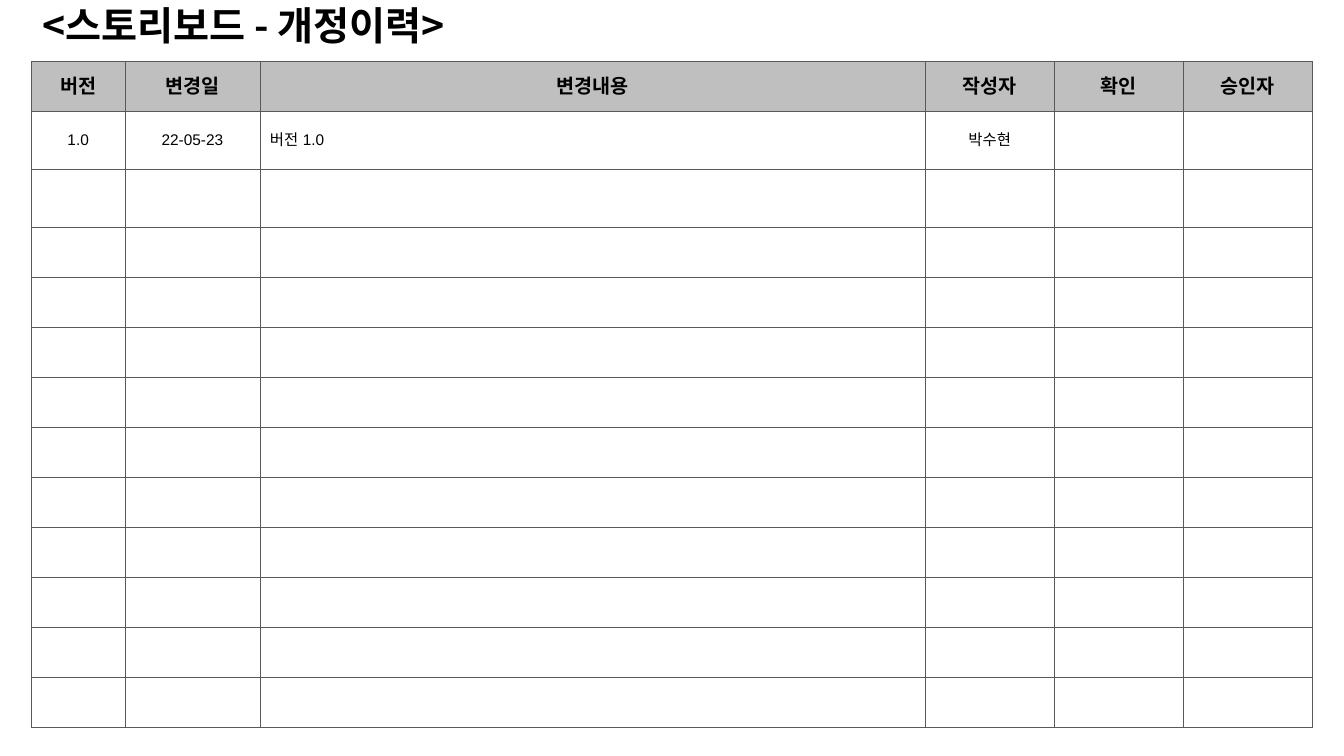
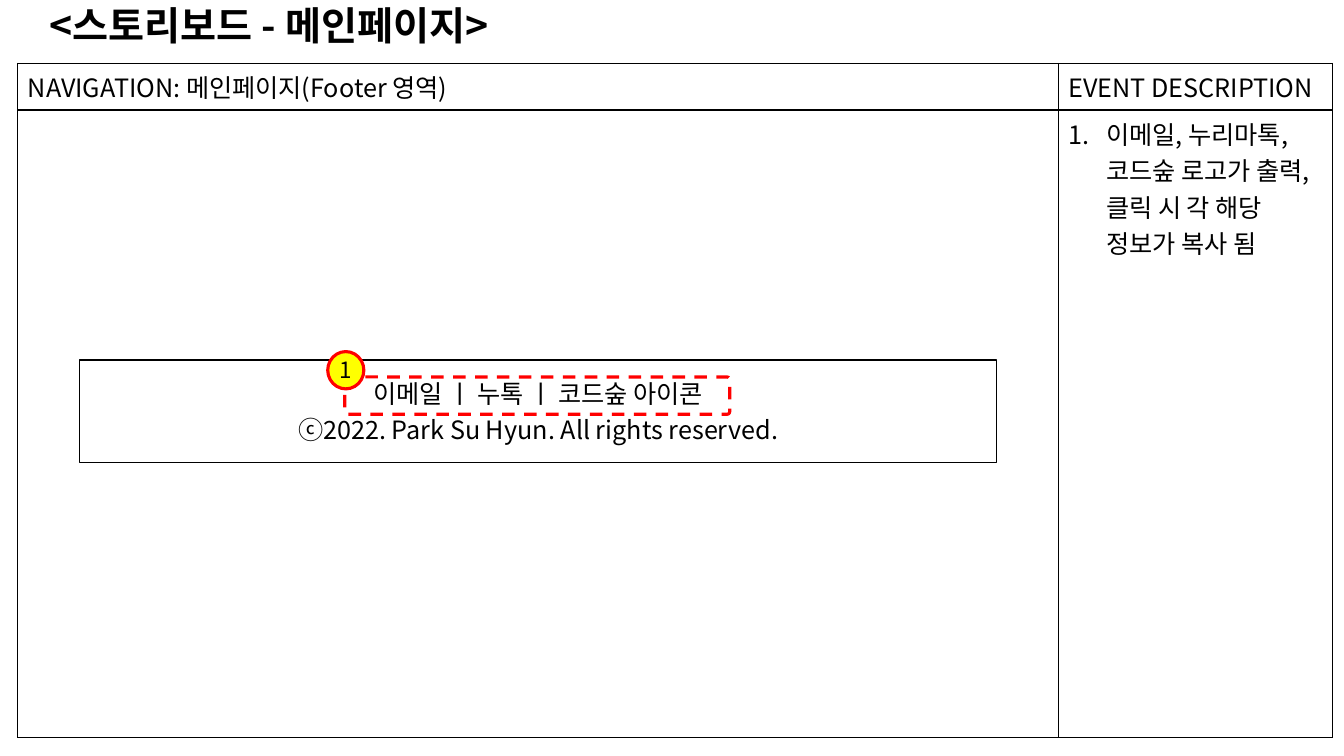
from lxml import etree
from pptx import Presentation
from pptx.dml.color import RGBColor
from pptx.enum.dml import MSO_LINE
from pptx.enum.shapes import MSO_SHAPE
from pptx.enum.text import MSO_ANCHOR, MSO_AUTO_SIZE, PP_ALIGN
from pptx.oxml.ns import qn
from pptx.util import Cm, Pt

LEFT, CENTER = PP_ALIGN.LEFT, PP_ALIGN.CENTER
TOP, MIDDLE = MSO_ANCHOR.TOP, MSO_ANCHOR.MIDDLE
RECTANGLE, OVAL = MSO_SHAPE.RECTANGLE, MSO_SHAPE.OVAL
ROUNDED_RECTANGLE = MSO_SHAPE.ROUNDED_RECTANGLE
DASH = MSO_LINE.DASH
FIT_TEXT = MSO_AUTO_SIZE.SHAPE_TO_FIT_TEXT
BLACK = RGBColor(0, 0, 0)
WHITE = RGBColor(255, 255, 255)
HEADER_GRAY = RGBColor(0xBF, 0xBF, 0xBF)
GRID_GRAY = RGBColor(0x59, 0x59, 0x59)
RED = RGBColor(255, 0, 0)
YELLOW = RGBColor(255, 255, 0)
SANS, ARIAL = "Noto Sans CJK KR", "Arial"

# Content; lengths are in centimetres
HISTORY_TITLE = ("<스토리보드 - 개정이력>", 12.27)
HISTORY_COLUMNS = [("버전", 2.36), ("변경일", 3.4), ("변경내용", 16.77),
                   ("작성자", 3.25), ("확인", 3.25), ("승인자", 3.25)]
HISTORY_ENTRY = ["1.0", "22-05-23", "버전 1.0", "박수현", "", ""]
HISTORY_NOTE_COLUMN = 2
HISTORY_ROWS = [1.26] + [1.46] * 2 + [1.26] * 10

PAGE_TITLE = ("<스토리보드 - 메인페이지>", 13.56)
PAGE_HEADINGS = ["NAVIGATION: 메인페이지(Footer 영역)", "EVENT DESCRIPTION"]
PAGE_EVENT = "이메일, 누리마톡, 코드숲 로고가 출력, 클릭 시 각 해당 정보가 복사 됨"
PAGE_COLUMNS, PAGE_ROWS = [26.22, 6.91], [1.17, 15.81]
FOOTER_LINES = ["이메일 ㅣ 누톡 ㅣ 코드숲 아이콘",
                "ⓒ2022. Park Su Hyun. All rights reserved."]
FOOTER_BOX = (2.01, 9.07, 23.11, 2.59)
ICON_AREA = (8.69, 9.5, 9.7, 0.94)
MARKER = (8.26, 8.86, 0.91, 0.94)
MARKER_LABEL = (8.31, 8.86, 0.84, 0.94)


def write(frame, lines, size, font=SANS, bold=False, align=CENTER, anchor=MIDDLE):
    """Fill a text frame or cell with lines in one style."""
    frame.text = "\n".join(lines)
    frame.vertical_anchor = anchor
    paragraphs = getattr(frame, "text_frame", frame).paragraphs
    for paragraph in paragraphs:
        paragraph.alignment = align
        for run in paragraph.runs:
            run.font.size = Pt(size)
            run.font.bold = bold
            run.font.name = font
            run.font.color.rgb = BLACK
            east_asian = etree.SubElement(run.font._element, qn("a:ea"))
            east_asian.set("typeface", font)
    return paragraphs


def add_title(slide, text, width):
    """Add the bold heading at the top left."""
    box = slide.shapes.add_textbox(0, 0, Cm(width), Cm(1.27))
    box.text_frame.word_wrap = True
    write(box.text_frame, [text], 28, bold=True)


def set_borders(cell, color, width):
    """Draw all four borders of a cell."""
    properties = cell._tc.get_or_add_tcPr()
    for position, side in enumerate(("lnL", "lnR", "lnT", "lnB")):
        line = etree.Element(qn("a:" + side), w=str(int(Pt(width))))
        fill = etree.SubElement(line, qn("a:solidFill"))
        etree.SubElement(fill, qn("a:srgbClr"), val=str(color))
        properties.insert(position, line)


def add_grid(slide, left, top, widths, heights, color, line_width):
    """Add an unfilled table with uniform borders."""
    table = slide.shapes.add_table(
        len(heights), len(widths), Cm(left), Cm(top),
        Cm(sum(widths)), Cm(sum(heights))).table
    table.first_row = table.horz_banding = False
    for column, width in zip(table.columns, widths):
        column.width = Cm(width)
    for row, height in zip(table.rows, heights):
        row.height = Cm(height)
    for cell in table.iter_cells():
        cell.fill.background()
        set_borders(cell, color, line_width)
    return table


def add_outline(shapes, kind, box, fill, color, width):
    """Add an outlined shape, unfilled when fill is None."""
    shape = shapes.add_shape(kind, *map(Cm, box))
    shape.shadow.inherit = False
    if fill is None:
        shape.fill.background()
    else:
        shape.fill.solid()
        shape.fill.fore_color.rgb = fill
    shape.line.color.rgb = color
    shape.line.width = Pt(width)
    return shape


def number_paragraph(paragraph, indent):
    """Give a paragraph an automatic number and a hanging indent."""
    properties = paragraph._p.get_or_add_pPr()
    properties.set("marL", str(int(Cm(indent))))
    properties.set("indent", str(-int(Cm(indent))))
    etree.SubElement(properties, qn("a:buFont"), typeface="+mj-lt")
    etree.SubElement(properties, qn("a:buAutoNum"), type="arabicPeriod")


def build_history(slide):
    """Build the revision history."""
    add_title(slide, *HISTORY_TITLE)
    widths = [width for _, width in HISTORY_COLUMNS]
    table = add_grid(slide, 0.79, 1.55, widths, HISTORY_ROWS, GRID_GRAY, 0.25)
    for index, (heading, _) in enumerate(HISTORY_COLUMNS):
        header = table.cell(0, index)
        header.fill.solid()
        header.fill.fore_color.rgb = HEADER_GRAY
        write(header, [heading], 14, ARIAL, bold=True)
        align = LEFT if index == HISTORY_NOTE_COLUMN else CENTER
        write(table.cell(1, index), [HISTORY_ENTRY[index]], 11, ARIAL, align=align)


def build_main_page(slide):
    """Build the storyboard of the main page footer."""
    table = add_grid(slide, 0.45, 1.6, PAGE_COLUMNS, PAGE_ROWS, BLACK, 1)
    for index, heading in enumerate(PAGE_HEADINGS):
        write(table.cell(0, index), [heading], 18, align=LEFT, anchor=TOP)
    event = write(table.cell(1, 1), [PAGE_EVENT], 18, align=LEFT, anchor=TOP)
    number_paragraph(event[0], 0.95)
    add_title(slide, *PAGE_TITLE)

    footer = add_outline(slide.shapes, RECTANGLE, FOOTER_BOX, WHITE, BLACK, 1)
    _, copyright_line = write(footer.text_frame, FOOTER_LINES, 18)
    copyright_line.space_before = Pt(4)
    icons = add_outline(slide.shapes, ROUNDED_RECTANGLE, ICON_AREA, None, RED, 2.25)
    icons.adjustments[0] = 0.07
    icons.line.dash_style = DASH

    marker = slide.shapes.add_group_shape()
    add_outline(marker.shapes, OVAL, MARKER, YELLOW, RED, 2.25)
    label = marker.shapes.add_textbox(*map(Cm, MARKER_LABEL))
    label.text_frame.word_wrap = False
    label.text_frame.auto_size = FIT_TEXT
    write(label.text_frame, ["1"], 16, align=LEFT, anchor=TOP)


presentation = Presentation()
presentation.slide_width, presentation.slide_height = Cm(33.87), Cm(19.05)
for build in (build_history, build_main_page):
    build(presentation.slides.add_slide(presentation.slide_layouts[6]))
presentation.save("out.pptx")
